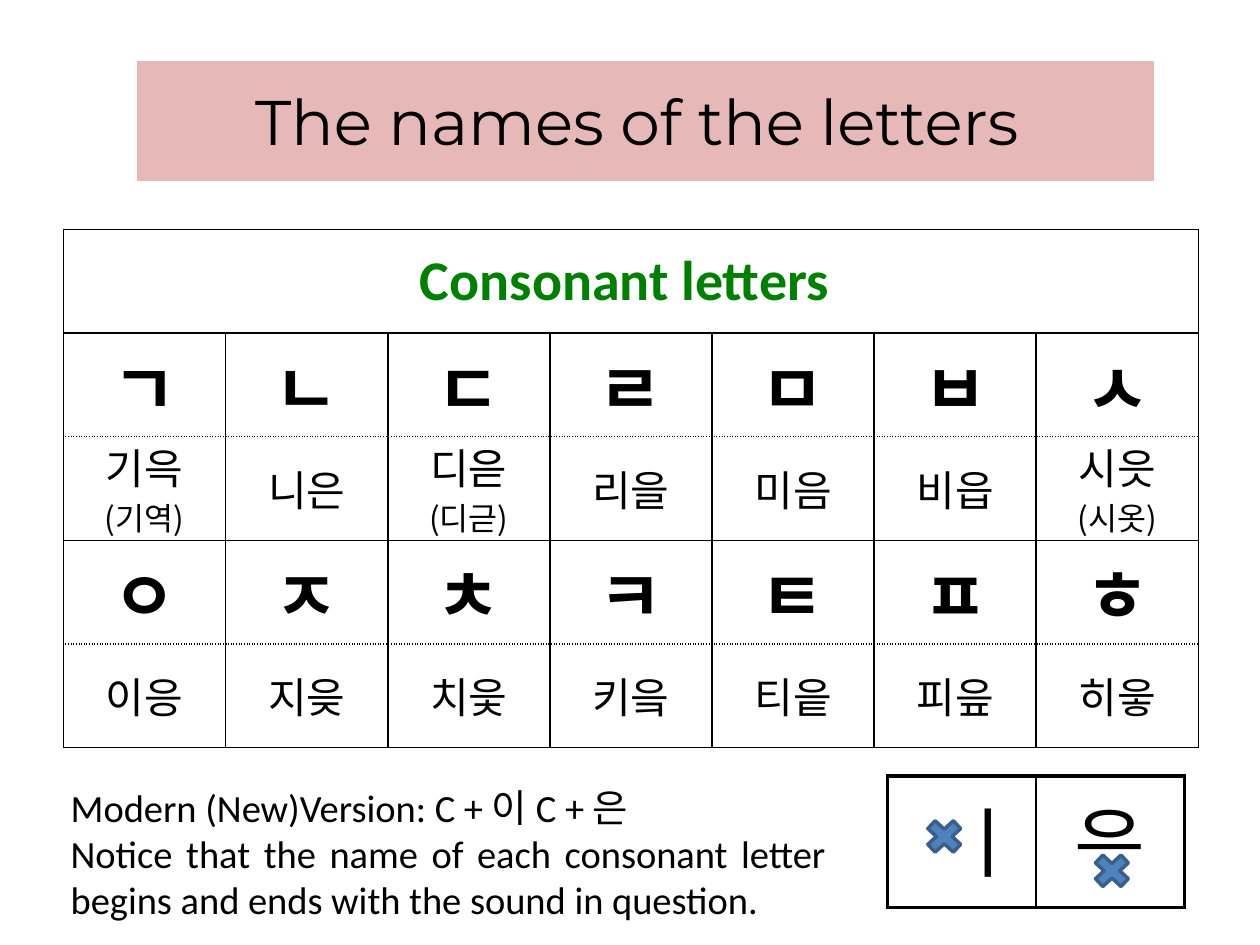
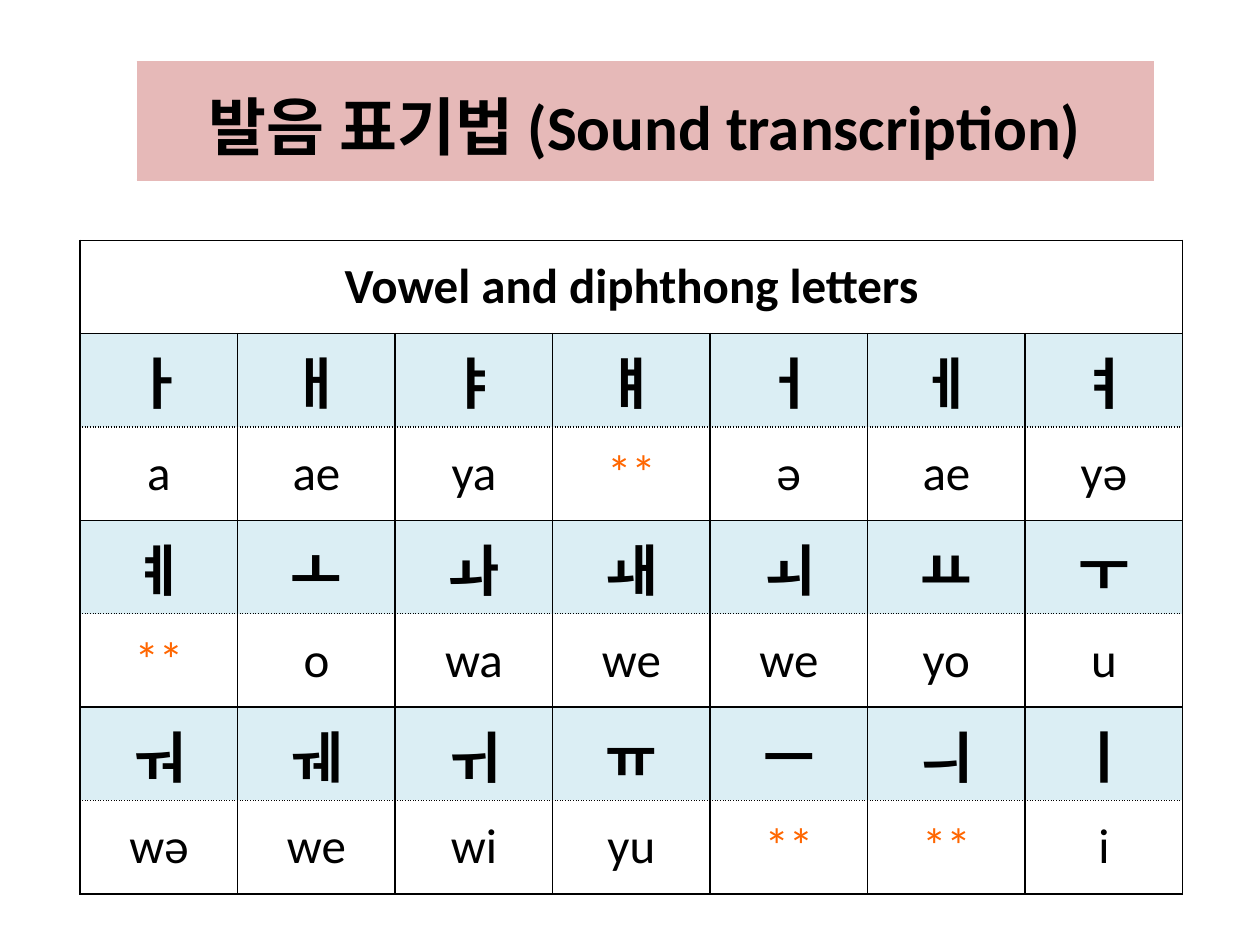
from dataclasses import dataclass

from lxml.etree import SubElement
from pptx import Presentation
from pptx.dml.color import RGBColor
from pptx.enum.shapes import MSO_SHAPE as Shape
from pptx.enum.text import MSO_ANCHOR as Anchor, PP_ALIGN as Align
from pptx.oxml.ns import qn
from pptx.util import Pt


@dataclass(frozen=True)
class Theme:
    # Colours
    black: str = "000000"
    white: str = "FFFFFF"
    band: str = "E6B9B8"
    heading_green: str = "008000"
    letter_row: str = "DBEEF4"
    marker: str = "FF6600"
    cross: str = "4F81BD"
    cross_edge: str = "3A5F8C"
    # Fonts
    latin: str = "Calibri"
    display: str = "Montserrat"
    korean: str = "Noto Sans CJK KR"
    # Type sizes
    title: int = 36
    consonant_heading: int = 32
    consonant: int = 40
    name: int = 24
    old_name: int = 18
    vowel_heading: int = 28
    vowel: int = 32
    sound: int = 28
    note: int = 22
    pattern: int = 44
    # Border widths
    thin: float = 1
    thick: float = 2.25


THEME = Theme()
TITLE_BAND = (78.5, 35.3, 580.3, 67.7)

CONSONANTS = ["ㄱ ㄴ ㄷ ㄹ ㅁ ㅂ ㅅ", "ㅇ ㅈ ㅊ ㅋ ㅌ ㅍ ㅎ"]
CONSONANT_NAMES = ["기윽 니은 디읃 리을 미음 비읍 시읏", "이응 지읒 치읓 키읔 티읕 피읖 히읗"]
OLD_NAMES = {"기윽": "(기역)", "디읃": "(디귿)", "시읏": "(시옷)"}
VOWELS = ["ㅏ ㅐ ㅑ ㅒ ㅓ ㅔ ㅕ", "ㅖ ㅗ ㅘ ㅙ ㅚ ㅛ ㅜ", "ㅝ ㅞ ㅟ ㅠ ㅡ ㅢ ㅣ"]
VOWEL_SOUNDS = ["a ae ya ** ə ae yə", "** o wa we we yo u", "wə we wi yu ** ** i"]


def color(value):
    return RGBColor.from_string(value)


def points(values):
    return [Pt(value) for value in values]


def set_attributes(target, values):
    for name, value in values.items():
        setattr(target, name, value)


def set_fill(target, value):
    target.fill.solid()
    target.fill.fore_color.rgb = color(value)


def add_span(para, text, size, font, ink=THEME.black, bold=False):
    span = para.add_run()
    span.text = text
    set_attributes(span.font, {"size": Pt(size), "name": font, "bold": bold})
    span.font.color.rgb = color(ink)
    SubElement(span.font._element, qn("a:ea"), typeface=font)


# Tables
def add_grid(page, rows, columns, place):
    table = page.shapes.add_table(rows, columns, *points(place)).table
    set_attributes(table, {"first_row": False, "horz_banding": False})
    for column in table.columns:
        column.width = Pt(place[2] / columns)
    for row in table.rows:
        row.height = Pt(place[3] / rows)
    return table


def set_borders(cell, widths, dotted, edge):
    """Draw the sides L, R, T, B in that order; sides named in dotted are dotted."""
    properties = cell._tc.get_or_add_tcPr()
    for side, width in zip("LRTB", widths):
        line = SubElement(properties, qn(f"a:ln{side}"), w=str(Pt(width)))
        ink = SubElement(line, qn("a:solidFill"))
        SubElement(ink, qn("a:srgbClr"), val=edge)
        SubElement(line, qn("a:prstDash"), val="sysDot" if side in dotted else "solid")


def style_cell(cell, widths=(THEME.thin,) * 4, dotted="", edge=THEME.black, fill=THEME.white):
    set_borders(cell, widths, dotted, edge)
    set_fill(cell, fill)
    set_attributes(cell, {"vertical_anchor": Anchor.MIDDLE, "margin_top": 0, "margin_bottom": 0})


def write_cell(cell, text, size, font, **look):
    para = cell.text_frame.paragraphs[0]
    para.alignment = Align.CENTER
    add_span(para, text, size, font, **look)


def add_letter_table(page, place, heading, letters, readings, letter_fill, write_reading,
                     heading_size, heading_ink, letter_size):
    """A heading row, then pairs of rows: letters above, readings below a dotted line."""
    table = add_grid(page, 1 + 2 * len(letters), 7, place)
    for column in range(7):
        style_cell(table.cell(0, column))
    table.cell(0, 0).merge(table.cell(0, 6))
    write_cell(table.cell(0, 0), heading, heading_size, THEME.latin, ink=heading_ink, bold=True)
    for pair, (letter_row, reading_row) in enumerate(zip(letters, readings)):
        top = 1 + 2 * pair
        for column, (letter, reading) in enumerate(zip(letter_row.split(), reading_row.split())):
            upper, lower = table.cell(top, column), table.cell(top + 1, column)
            style_cell(upper, dotted="B", fill=letter_fill)
            write_cell(upper, letter, letter_size, THEME.korean, bold=True)
            style_cell(lower, dotted="T")
            write_reading(lower, reading)


def write_consonant_name(cell, name):
    write_cell(cell, name, THEME.name, THEME.korean)
    if name in OLD_NAMES:
        para = cell.text_frame.add_paragraph()
        para.alignment = Align.CENTER
        add_span(para, OLD_NAMES[name], THEME.old_name, THEME.korean)
        for para in cell.text_frame.paragraphs:
            para.line_spacing = 0.95


def write_sound(cell, sound):
    ink = THEME.marker if sound == "**" else THEME.black
    write_cell(cell, sound, THEME.sound, THEME.latin, ink=ink)


# Title band: a table of one cell
def add_band_slide(deck, spans):
    page = deck.slides.add_slide(deck.slide_layouts[6])
    band = add_grid(page, 1, 1, TITLE_BAND).cell(0, 0)
    style_cell(band, edge=THEME.band, fill=THEME.band)
    band.margin_top = Pt(2)
    for text, font, bold in spans:
        write_cell(band, text, THEME.title, font, bold=bold)
    return page


# Note and name pattern
def add_note(page, place, lines):
    box = page.shapes.add_textbox(*points(place))
    box.text_frame.word_wrap = True
    for index, line in enumerate(lines):
        para = box.text_frame.add_paragraph() if index else box.text_frame.paragraphs[0]
        para.alignment = Align.JUSTIFY
        add_span(para, line, THEME.note, THEME.latin)


def add_plain_shape(page, kind, place, fill, edge, width):
    shape = page.shapes.add_shape(kind, *points(place))
    shape.shadow.inherit = False
    set_fill(shape, fill)
    shape.line.color.rgb = color(edge)
    shape.line.width = Pt(width)


def add_name_pattern(page):
    table = add_grid(page, 1, 2, (507, 443.5, 170, 75))
    thin, thick = THEME.thin, THEME.thick
    parts = [(" ㅣ", Align.RIGHT, (thick, thin, thick, thick)),
             ("은", Align.CENTER, (thin, thick, thick, thick))]
    for column, (text, align, widths) in enumerate(parts):
        cell = table.cell(0, column)
        style_cell(cell, widths)
        set_attributes(cell, {"vertical_anchor": Anchor.TOP, "margin_top": Pt(3.6)})
        write_cell(cell, text, THEME.pattern, THEME.korean)
        cell.text_frame.paragraphs[0].alignment = align
    # The final consonant gives way to a cross
    add_plain_shape(page, Shape.RECTANGLE, (613.5, 486, 42.5, 15), THEME.white, THEME.white, 0.75)
    for left, top in ((525.6, 465), (621.4, 484.6)):
        add_plain_shape(page, Shape.MATH_MULTIPLY, (left, top, 28, 26),
                        THEME.cross, THEME.cross_edge, 2)


# Slides
def add_consonant_slide(deck):
    page = add_band_slide(deck, [("The names of the letters ", THEME.display, False)])
    add_note(page, (33.3, 444.2, 445.7, 87), [
        "Modern (New)Version: C + 이 C + 은",
        "Notice that the name of each consonant letter begins and ends with the sound in question. ",
    ])
    add_letter_table(page, (36.3, 131.2, 648.5, 296), "Consonant letters ", CONSONANTS,
                     CONSONANT_NAMES, THEME.white, write_consonant_name,
                     THEME.consonant_heading, THEME.heading_green, THEME.consonant)
    add_name_pattern(page)


def add_vowel_slide(deck):
    page = add_band_slide(deck, [("발음 표기법 ", THEME.korean, True),
                                 ("(Sound transcription)", THEME.latin, True)])
    add_letter_table(page, (45.8, 137.3, 630, 373.5), "Vowel and diphthong letters", VOWELS,
                     VOWEL_SOUNDS, THEME.letter_row, write_sound,
                     THEME.vowel_heading, THEME.black, THEME.vowel)


def main():
    deck = Presentation()
    set_attributes(deck, {"slide_width": Pt(720), "slide_height": Pt(540)})
    add_consonant_slide(deck)
    add_vowel_slide(deck)
    deck.save("out.pptx")


if __name__ == "__main__":
    main()
